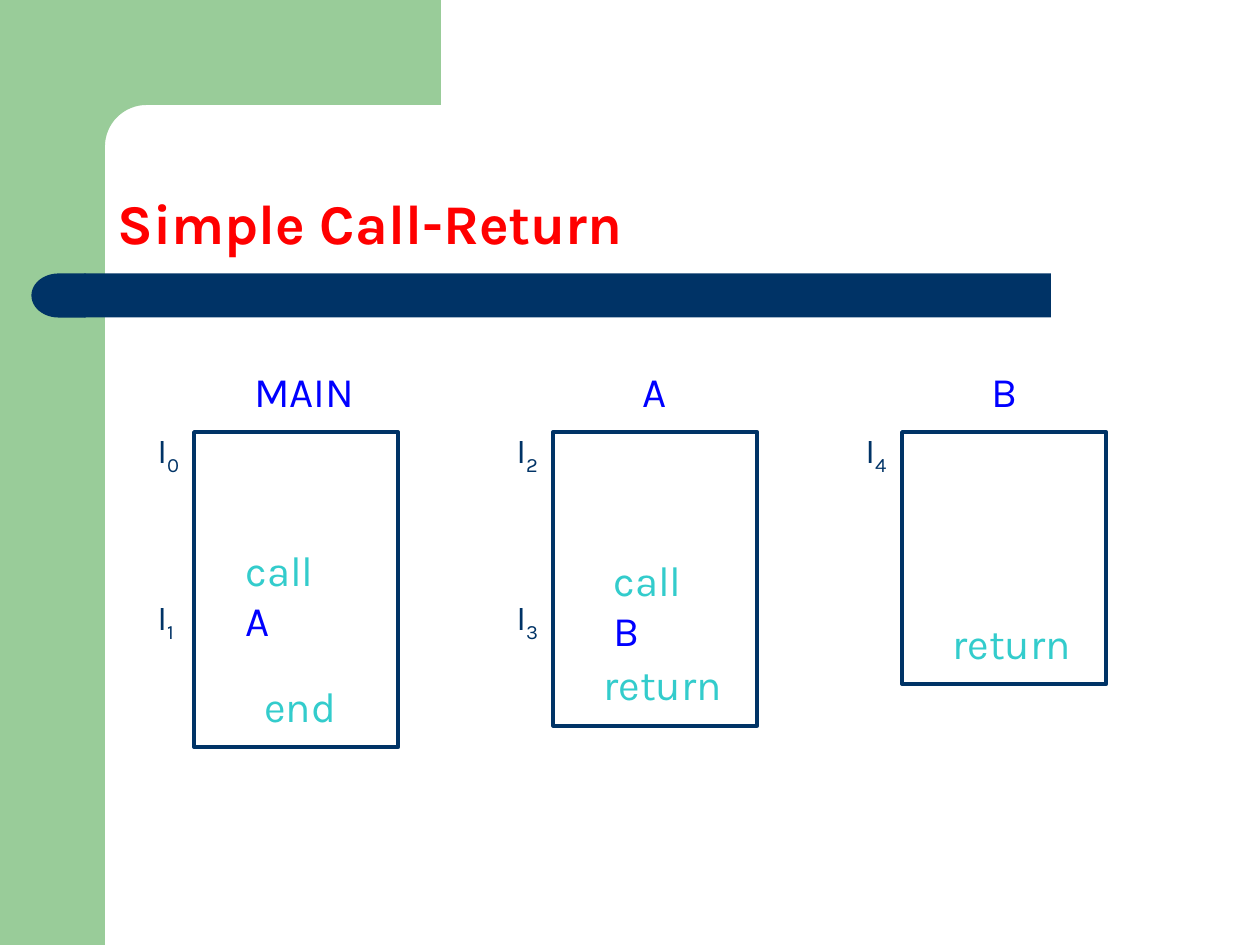
from dataclasses import dataclass
from math import cos, pi, sin

from pptx import Presentation
from pptx.dml.color import RGBColor
from pptx.enum.shapes import MSO_SHAPE
from pptx.enum.text import MSO_ANCHOR, PP_ALIGN
from pptx.util import Inches, Pt

RECT = MSO_SHAPE.RECTANGLE
DELAY = MSO_SHAPE.FLOWCHART_DELAY
LEFT = PP_ALIGN.LEFT
TOP, BOTTOM = MSO_ANCHOR.TOP, MSO_ANCHOR.BOTTOM


@dataclass(frozen=True)
class Theme:
    font: str = "Karla"
    green: str = "99CC99"
    navy: str = "003366"
    red: str = "FF0000"
    blue: str = "0000FF"
    teal: str = "33CCCC"
    head: int = 32
    code: int = 24
    mark: int = 20
    edge: float = 2.25


LOOK = Theme()
WIDE, HIGH = 10, 7.5
SIDE = WIDE / 12
TITLE = "Simple Call-Return"

# name, name offset and width, column left, box height, marks, steps
ROUTINES = [
    dict(name="MAIN", shift=0.38, span=1.24, left=1.54, tall=2.5,
         marks=["0", "1"],
         steps=[("call ", "A", 0.31, 0.84, 1, 0.9),
                ("end", "", 0.46, 1.92, 1, 0.5)]),
    dict(name="A", shift=0.61, span=0.46, left=4.39, tall=2.33,
         marks=["2", "3"],
         steps=[("call ", "B", 0.38, 0.92, 1, 0.9),
                ("return", "", 0.3, 1.75, 1.39, 0.5)]),
    dict(name="B", shift=0.61, span=0.46, left=7.16, tall=2,
         marks=["4"],
         steps=[("return", "", 0.3, 1.42, 1.2, 0.5)]),
]
BOX_TOP, BOX_WIDE = 3.43, 1.62
NAME_TOP = 2.85
MARK_TOP, MARK_STEP, MARK_BACK = 3.35, 1.33, 0.39


def color(code):
    return RGBColor.from_string(code)


def add_run(para, text, size, tint, bold=False, sub=False):
    run = para.add_run()
    run.text = text
    font = run.font
    font.name, font.size, font.bold = LOOK.font, Pt(size), bold
    font.color.rgb = color(tint)
    if sub:
        run._r.get_or_add_rPr().set("baseline", "-25000")


def set_frame(frame, anchor):
    frame.word_wrap = True
    frame.vertical_anchor = anchor
    frame.margin_left = frame.margin_right = Inches(0.1)
    frame.margin_top = frame.margin_bottom = Inches(0.05)
    para = frame.paragraphs[0]
    para.alignment = LEFT
    return para


def add_text(slide, place, runs):
    box = slide.shapes.add_textbox(*map(Inches, place))
    para = set_frame(box.text_frame, TOP)
    for text, size, tint, sub in runs:
        add_run(para, text, size, tint, sub=sub)


def paint(shape, tint):
    shape.shadow.inherit = False
    shape.fill.solid()
    shape.fill.fore_color.rgb = color(tint)
    shape.line.fill.background()
    return shape


def add_block(slide, kind, place, tint):
    return paint(slide.shapes.add_shape(kind, *map(Inches, place)), tint)


def add_corner(slide):
    bend, steps = 0.33, 16
    mid = SIDE + bend
    arc = [(mid - bend * sin(t), mid - bend * cos(t))
           for t in (pi / 2 * i / steps for i in range(steps + 1))]
    dots = [(3.5, 0), (3.5, SIDE), *arc, (SIDE, 1.28), (0.5, 1.28), (0.5, 0)]
    dots = [(Inches(x), Inches(y)) for x, y in dots]
    pen = slide.shapes.build_freeform(*dots[0])
    pen.add_line_segments(dots[1:], close=True)
    paint(pen.convert_to_shape(), LOOK.green)


def add_decor(slide):
    add_block(slide, RECT, (0, 0, SIDE, HIGH), LOOK.green)
    add_corner(slide)
    add_block(slide, RECT, (0.67, 2.17, 7.67, 0.35), LOOK.navy)
    cap = add_block(slide, DELAY, (0.25, 2.17, 0.43, 0.35), LOOK.navy)
    cap._element.spPr.xfrm.set("flipH", "1")


def add_title(slide):
    title = slide.shapes.title
    title.left, title.top = Inches(SIDE), Inches(SIDE)
    title.width, title.height = Inches(8.67), Inches(1.25)
    para = set_frame(title.text_frame, BOTTOM)
    para.line_spacing = 0.9
    add_run(para, TITLE, LOOK.head, LOOK.red, bold=True)


def add_routine(slide, item):
    left = item["left"]
    box = add_block(slide, RECT, (left, BOX_TOP, BOX_WIDE, item["tall"]),
                    LOOK.navy)
    box.fill.background()
    box.line.color.rgb = color(LOOK.navy)
    box.line.width = Pt(LOOK.edge)
    add_text(slide, (left + item["shift"], NAME_TOP, item["span"], 0.5),
             [(item["name"], LOOK.code, LOOK.blue, False)])
    for row, mark in enumerate(item["marks"]):
        place = (left - MARK_BACK, MARK_TOP + row * MARK_STEP, 0.46, 0.48)
        add_text(slide, place, [("I", LOOK.mark, LOOK.navy, False),
                                (mark, LOOK.mark, LOOK.navy, True)])
    for verb, goal, dx, dy, wide, tall in item["steps"]:
        runs = [(verb, LOOK.code, LOOK.teal, False)]
        if goal:
            runs.append((goal, LOOK.code, LOOK.blue, False))
        add_text(slide, (left + dx, BOX_TOP + dy, wide, tall), runs)


def main():
    deck = Presentation()
    deck.slide_width, deck.slide_height = Inches(WIDE), Inches(HIGH)
    slide = deck.slides.add_slide(deck.slide_layouts[5])
    add_decor(slide)
    add_title(slide)
    for item in ROUTINES:
        add_routine(slide, item)
    deck.save("out.pptx")


if __name__ == "__main__":
    main()
